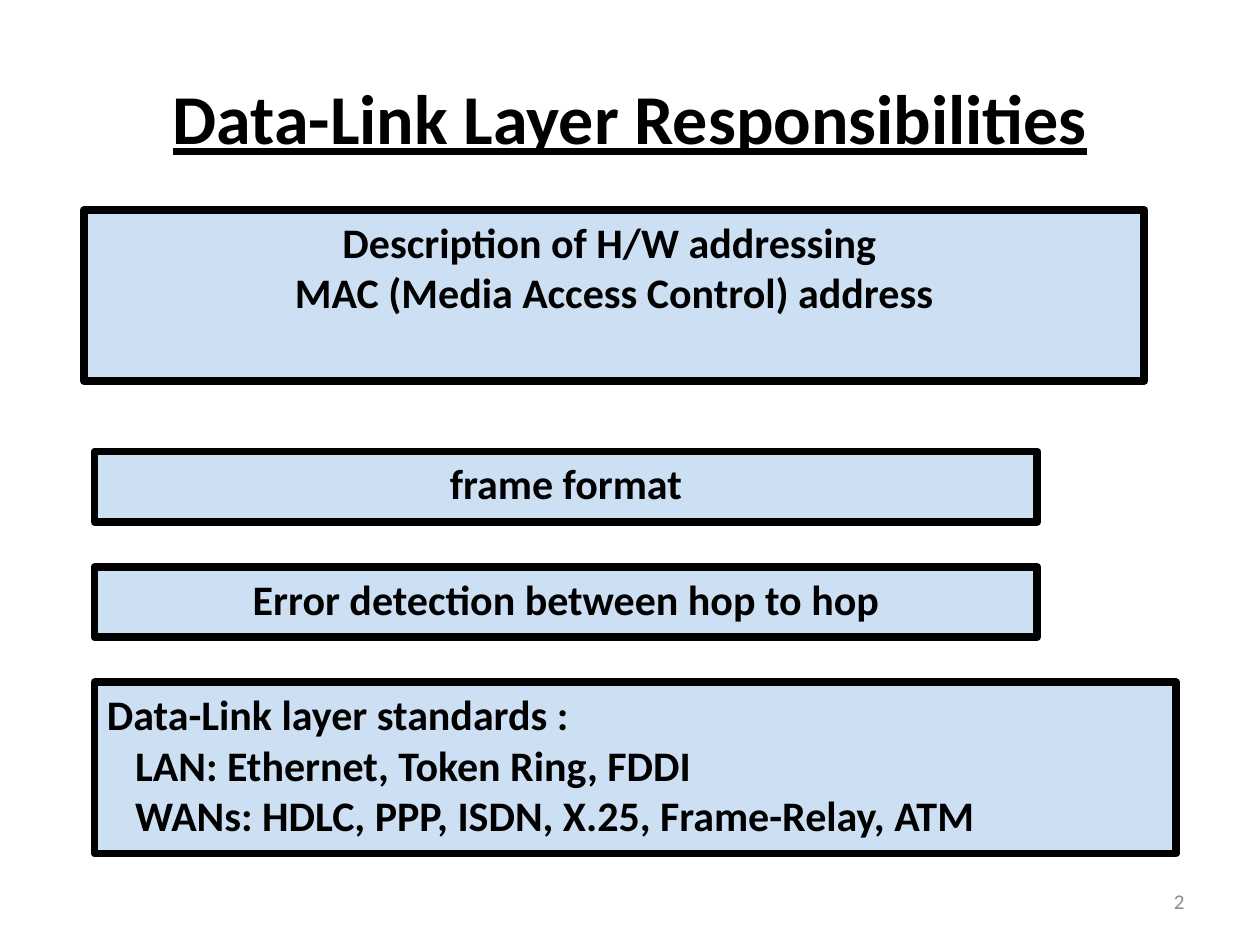
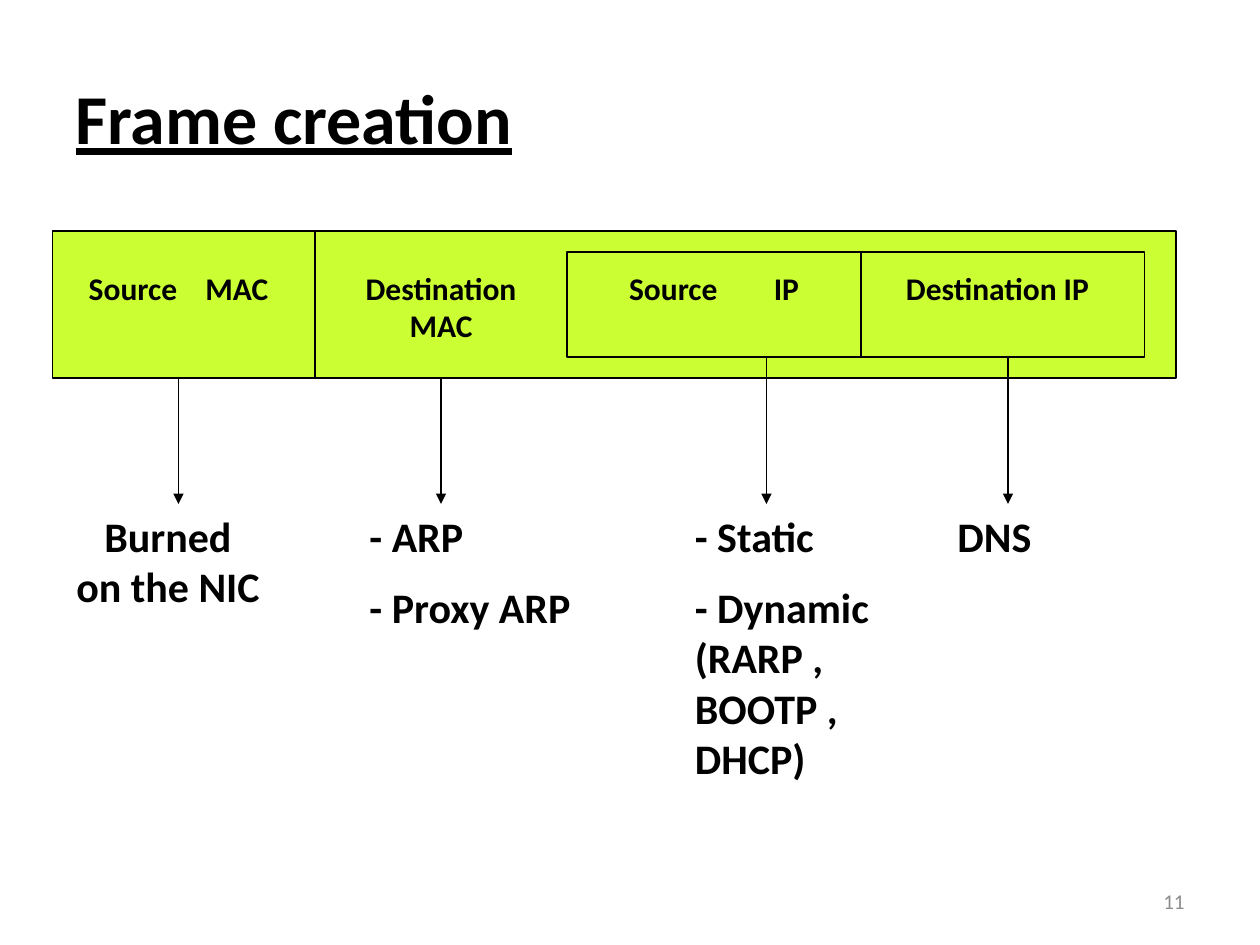
import pptx
import pptx.dml.color
import pptx.enum.shapes
import pptx.enum.text
import pptx.oxml.ns
import pptx.util
from lxml import etree

PX = 7620  # EMU in one px, 120 px to the inch
FONT = "Calibri"
BLACK = pptx.dml.color.RGBColor(0x00, 0x00, 0x00)
GREY = pptx.dml.color.RGBColor(0x8C, 0x8C, 0x8C)
PALE_BLUE = pptx.dml.color.RGBColor(0xCD, 0xDF, 0xF3)
LIME = pptx.dml.color.RGBColor(0xCC, 0xFF, 0x33)

LEFT = pptx.enum.text.PP_ALIGN.LEFT
CENTER = pptx.enum.text.PP_ALIGN.CENTER
RIGHT = pptx.enum.text.PP_ALIGN.RIGHT
MIDDLE = pptx.enum.text.MSO_ANCHOR.MIDDLE
TOP = pptx.enum.text.MSO_ANCHOR.TOP


def px(*lengths):
    return [pptx.util.Emu(length * PX) for length in lengths]


def format_runs(paragraph, size, color=BLACK, bold=True, underline=False):
    for run in paragraph.runs:
        run.font.name = FONT
        run.font.size = pptx.util.Pt(size)
        run.font.bold = bold
        run.font.underline = underline
        run.font.color.rgb = color


def write_text(shape, text, size, align, gap=0, anchor=TOP, **style):
    """Fill a shape with paragraphs, gap points apart."""
    frame = shape.text_frame
    frame.word_wrap = True
    frame.vertical_anchor = anchor
    frame.text = text
    for index, paragraph in enumerate(frame.paragraphs):
        paragraph.alignment = align
        paragraph.space_before = pptx.util.Pt(gap if index else 0)
        format_runs(paragraph, size, **style)


def add_text(slide, box, text, size, align, **options):
    shape = slide.shapes.add_textbox(*px(*box))
    write_text(shape, text, size, align, **options)
    return shape


def add_box(slide, box, fill, line_width):
    shape = slide.shapes.add_shape(
        pptx.enum.shapes.MSO_SHAPE.RECTANGLE, *px(*box))
    shape.shadow.inherit = False
    shape.fill.solid()
    shape.fill.fore_color.rgb = fill
    shape.line.color.rgb = BLACK
    shape.line.width = pptx.util.Pt(line_width)
    return shape


def add_vertical_line(slide, x, top, bottom, arrow=False):
    line = slide.shapes.add_connector(
        pptx.enum.shapes.MSO_CONNECTOR.STRAIGHT, *px(x, top, x, bottom))
    line.line.color.rgb = BLACK
    line.line.width = pptx.util.Pt(0.75)
    if arrow:
        etree.SubElement(line.line._get_or_add_ln(),
                         pptx.oxml.ns.qn("a:tailEnd"), type="triangle")
    etree.SubElement(line._element.spPr, pptx.oxml.ns.qn("a:effectLst"))


def indent(paragraph, distance):
    paragraph._p.get_or_add_pPr().set("marL", str(distance * PX))


def widen_space(paragraph, points):
    """Put extra width on the single space between two words."""
    first, last = paragraph.runs[0].text.split(" ")
    size = paragraph.runs[0].font.size.pt
    paragraph.runs[0].text = first
    space = paragraph.add_run()
    space.text = " "
    paragraph.add_run().text = last
    format_runs(paragraph, size)
    space.font._element.set("spc", str(points * 100))


def add_titled_slide(presentation, title, align, number):
    slide = presentation.slides.add_slide(presentation.slide_layouts[5])
    placeholder = slide.shapes.title
    (placeholder.left, placeholder.top,
     placeholder.width, placeholder.height) = px(60, 36, 1080, 150)
    write_text(placeholder, title, 40, align, anchor=MIDDLE, underline=True)
    add_text(slide, (860, 834, 280, 48), number, 12, RIGHT,
             anchor=MIDDLE, color=GREY, bold=False)
    return slide


def build_responsibilities(presentation):
    slide = add_titled_slide(
        presentation, "Data-Link Layer Responsibilities", CENTER, "2")
    duties = [
        ((80, 200, 1010, 163), CENTER,
         "Description of H/W addressing \nMAC (Media Access Control) address"),
        ((90, 430, 898, 67), CENTER, "frame format"),
        ((90, 540, 898, 67), CENTER, "Error detection between hop to hop"),
        ((90, 650, 1030, 163), LEFT,
         "Data-Link layer standards :\nLAN: Ethernet, Token Ring, FDDI\n"
         "WANs: HDLC, PPP, ISDN, X.25, Frame-Relay, ATM"),
    ]
    for box, align, text in duties:
        shape = add_box(slide, box, PALE_BLUE, 4.5)
        write_text(shape, text, 24, align)

    # The standards under their heading
    for paragraph in shape.text_frame.paragraphs[1:]:
        indent(paragraph, 27)


def build_frame_creation(presentation):
    slide = add_titled_slide(presentation, "Frame creation", LEFT, "11")
    frame_bottom, packet_bottom, notes_top = 360, 340, 480

    # The frame and the packet inside it
    add_box(slide, (50, 220, 1070, 140), LIME, 0.75)
    add_vertical_line(slide, 300, 220, frame_bottom)
    add_box(slide, (540, 240, 550, 100), LIME, 0.75)
    add_vertical_line(slide, 820, 240, packet_bottom)

    # Field: name, left, extra space in points, arrow x and start
    fields = [
        ("Source MAC", 60, 12, 170, frame_bottom),
        ("Destination MAC", 310, 0, 420, frame_bottom),
        ("Source IP", 570, 28, 730, packet_bottom),
        ("Destination IP", 840, 0, 960, packet_bottom),
    ]
    for name, left, extra, arrow_x, arrow_top in fields:
        label = add_text(slide, (left, 250, 220, 84), name, 18, CENTER)
        if extra:
            widen_space(label.text_frame.paragraphs[0], extra)
        add_vertical_line(slide, arrow_x, arrow_top, notes_top, arrow=True)

    # Where each address comes from: left, width, height, alignment, gap
    origins = [
        ("Burned\non the NIC", 30, 260, 108, CENTER, 0),
        ("- ARP\n- Proxy ARP", 340, 270, 132, LEFT, 12),
        ("- Static\n- Dynamic\v(RARP ,\vBOOTP ,\vDHCP)",
         650, 270, 276, LEFT, 12),
        ("DNS", 900, 160, 60, LEFT, 0),
    ]
    for text, left, width, height, align, gap in origins:
        add_text(slide, (left, notes_top, width, height), text, 24, align,
                 gap=gap)


def main():
    presentation = pptx.Presentation()
    presentation.slide_width, presentation.slide_height = px(1200, 900)
    build_responsibilities(presentation)
    build_frame_creation(presentation)
    presentation.save("out.pptx")


if __name__ == "__main__":
    main()
